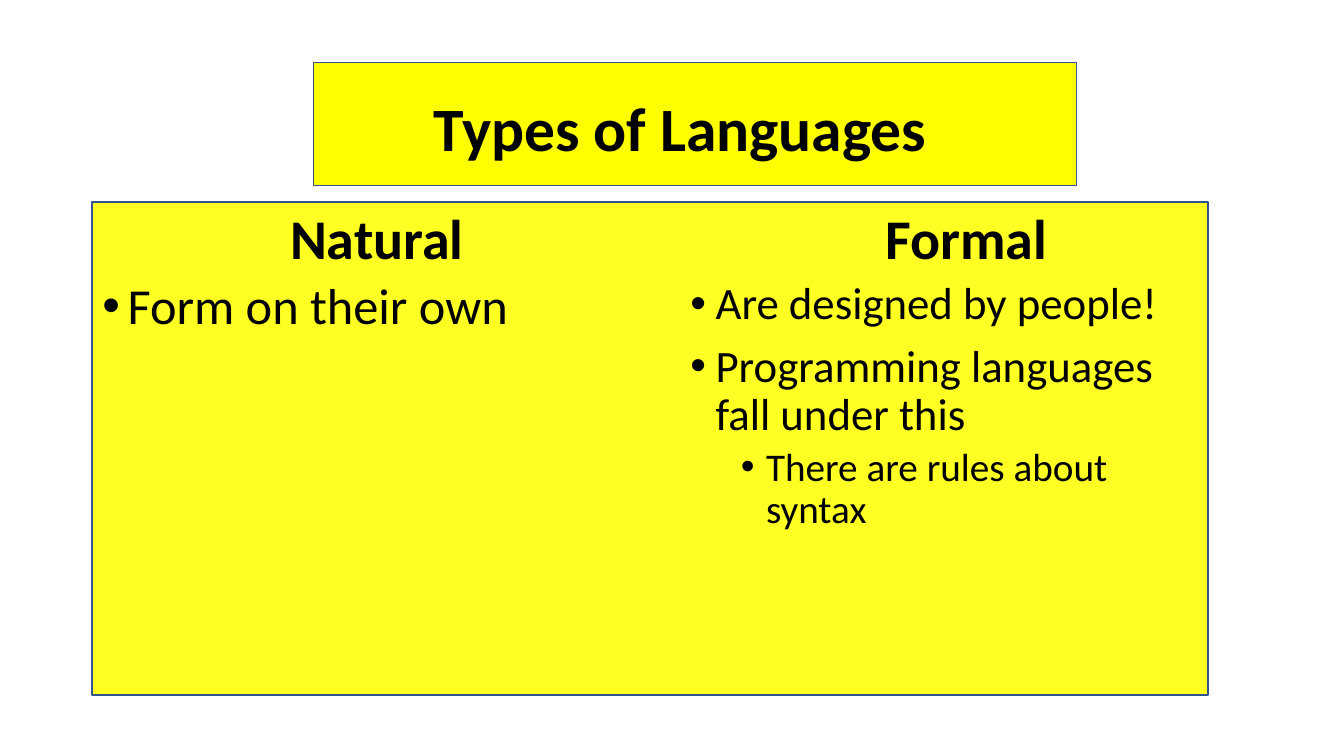
from pptx import Presentation
from pptx.dml.color import RGBColor
from pptx.enum.shapes import MSO_SHAPE
from pptx.enum.text import MSO_ANCHOR, PP_ALIGN
from pptx.oxml.ns import qn
from pptx.util import Cm, Pt
from lxml import etree

YELLOW = RGBColor(0xFF, 0xFF, 0x00)
NAVY = RGBColor(0x31, 0x53, 0x8F)
BLACK = RGBColor(0x00, 0x00, 0x00)

prs = Presentation()
prs.slide_width, prs.slide_height = Cm(33.87), Cm(19.05)
s = prs.slides.add_slide(prs.slide_layouts[6])


def add_text(box, anchor, paragraphs):
    """Each paragraph: text, size, bold, bullet level (None = centred), space before."""
    tf = s.shapes.add_textbox(*[Cm(v) for v in box]).text_frame
    tf.word_wrap = True
    tf.vertical_anchor = anchor
    for i, (text, size, bold, level, before) in enumerate(paragraphs):
        p = tf.add_paragraph() if i else tf.paragraphs[0]
        p.line_spacing = 0.9
        p.space_before = Pt(before)
        r = p.add_run()
        r.text = text
        for name, value in {"name": "Calibri", "size": Pt(size), "bold": bold}.items():
            setattr(r.font, name, value)
        r.font.color.rgb = BLACK
        if level is None:
            p.alignment = PP_ALIGN.CENTER
            continue
        p.level = level
        pPr = p._p.get_or_add_pPr()
        pPr.set("marL", str(Cm(0.635 + 1.27 * level)))
        pPr.set("indent", str(-Cm(0.635)))
        etree.SubElement(pPr, qn("a:buFont")).set("typeface", "Arial")
        etree.SubElement(pPr, qn("a:buChar")).set("char", "•")


# Yellow panels: body (slightly transparent) and title
for box, opacity in [((2.32, 5.09, 28.12, 12.42), 86), ((7.9, 1.57, 19.23, 3.1), 100)]:
    sp = s.shapes.add_shape(MSO_SHAPE.RECTANGLE, *[Cm(v) for v in box])
    sp.shadow.inherit = False
    sp.fill.solid()
    sp.fill.fore_color.rgb = YELLOW
    sp.line.color.rgb = NAVY
    sp.line.width = Pt(1)
    if opacity < 100:
        color = sp._element.spPr.find(qn("a:solidFill"))[0]
        etree.SubElement(color, qn("a:alpha")).set("val", str(opacity * 1000))

# Title
add_text((2.54, 1.47, 29.21, 3.68), MSO_ANCHOR.MIDDLE,
         [("Types of Languages", 44, True, None, 0)])

# Columns: heading, left, heading width, list width, list height, bullets
columns = [
    ("Natural", 2.33, 14.33, 14.33, 10.24, [("Form on their own", 36, False, 0, 0)]),
    ("Formal", 17.15, 14.4, 13.03, 9.5, [
        ("Are designed by people!", 32, False, 0, 0),
        ("Programming languages fall under this", 32, False, 0, 10),
        ("There are rules about syntax", 28, False, 1, 5),
    ]),
]
for heading, left, head_w, list_w, list_h, bullets in columns:
    add_text((left, 4.67, head_w, 2.29), MSO_ANCHOR.BOTTOM, [(heading, 40, True, None, 0)])
    add_text((left, 6.96, list_w, list_h), MSO_ANCHOR.TOP, bullets)

prs.save("out.pptx")
